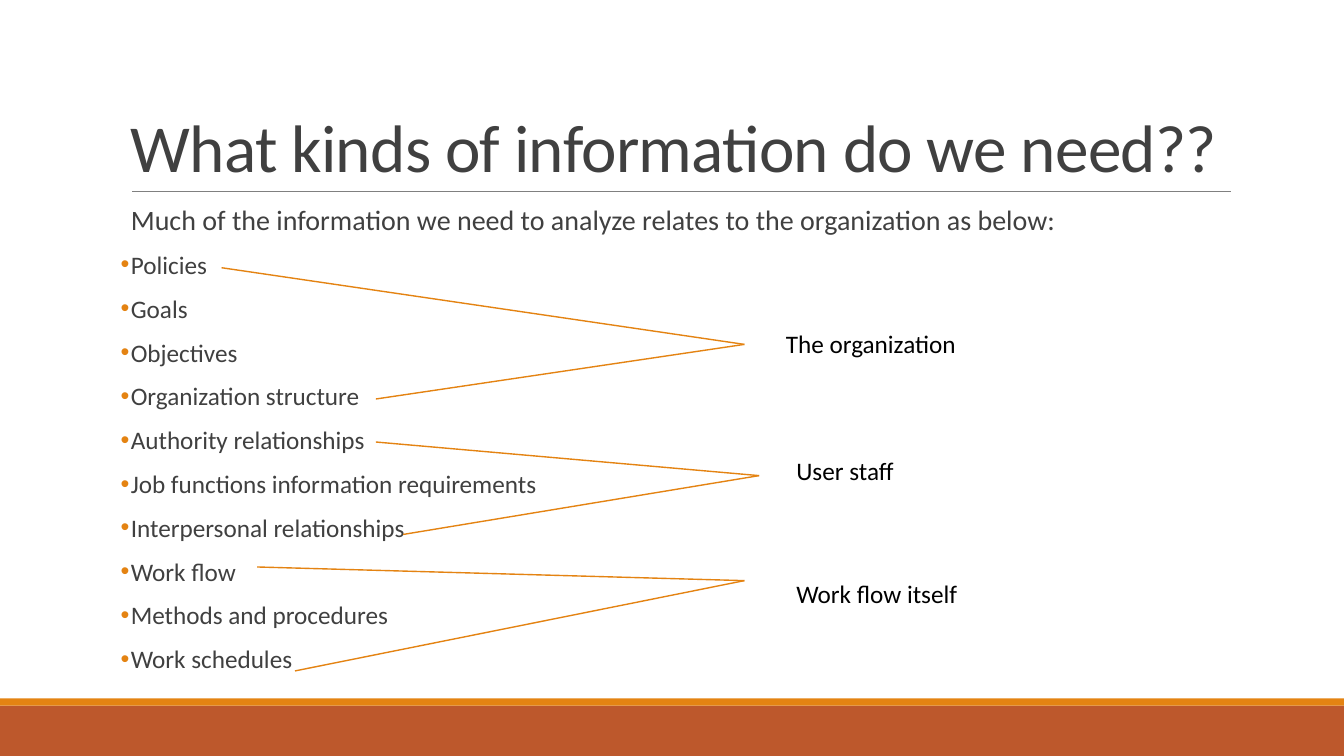
from lxml import etree
from pptx import Presentation
from pptx import util as u
from pptx.dml.color import RGBColor
from pptx.enum import shapes, text
from pptx.oxml.ns import qn

PX = 9525
FONT = "Calibri"
BULLET_FONT = "Arial"
COLORS = {"band": "BD582C", "accent": "E48312", "rule": "808080",
          "body": "404040", "label": "000000"}

TITLE = "What kinds of information do we need??"
INTRO = "Much of the information we need to analyze relates to the organization as below:"
TOPICS = ["Policies", "Goals", "Objectives", "Organization structure",
          "Authority relationships", "Job functions information requirements",
          "Interpersonal relationships", "Work flow",
          "Methods and procedures", "Work schedules"]
# label, label box, line starts, shared tip
GROUPS = [
    ("The organization", (739, 308, 183, 38), [(211, 255), (358, 380)], (709, 328)),
    ("User staff", (749, 429, 113, 38), [(358, 421), (384, 509)], (723, 453)),
    ("Work flow itself", (749, 546, 175, 38), [(245, 540), (281, 639)], (709, 553)),
]


def px(*lengths):
    return [u.Emu(length * PX) for length in lengths]


def color(name):
    return RGBColor.from_string(COLORS[name])


def set_font(para, size, name):
    para.font.name = FONT
    para.font.size = u.Pt(size)
    para.font.color.rgb = color(name)


def add_bar(page, box, name):
    bar = page.shapes.add_shape(shapes.MSO_SHAPE.RECTANGLE, *px(*box))
    bar.shadow.inherit = False
    bar.fill.solid()
    bar.fill.fore_color.rgb = color(name)
    bar.line.fill.background()


def add_line(page, start, end, name, width):
    line = page.shapes.add_connector(
        shapes.MSO_CONNECTOR.STRAIGHT, *px(*start, *end))
    line.line.color.rgb = color(name)
    line.line.width = u.Pt(width)
    etree.SubElement(line._element.spPr, qn("a:effectLst"))


def add_text_frame(page, box, wrap=True):
    frame = page.shapes.add_textbox(*px(*box)).text_frame
    frame.word_wrap = wrap
    return frame


def add_bullet(para, symbol):
    """Hang the symbol to the left of the text; it must follow the spacing."""
    properties = para._p.get_or_add_pPr()
    properties.set("marL", str(u.Inches(0.1)))
    properties.set("indent", str(-u.Inches(0.1)))
    bullet_color = etree.Element(qn("a:buClr"))
    etree.SubElement(bullet_color, qn("a:srgbClr"), val=COLORS["accent"])
    font = etree.Element(qn("a:buFont"), typeface=BULLET_FONT)
    mark = etree.Element(qn("a:buChar"), char=symbol)
    following = properties.find(qn("a:defRPr"))
    for part in (bullet_color, font, mark):
        if following is None:
            properties.append(part)
        else:
            following.addprevious(part)


def add_footer(page, box):
    left, top, width, height = box
    accent = 7
    add_bar(page, (left, top + accent, width, height - accent), "band")
    add_bar(page, (left, top, width, accent), "accent")


def add_title(page, box):
    left, top, width, height = box
    bottom = top + height
    add_line(page, (left + 11, bottom), (left + width + 1, bottom), "rule", 0.5)
    frame = add_text_frame(page, box)
    frame.vertical_anchor = text.MSO_ANCHOR.BOTTOM
    para = frame.paragraphs[0]
    para.line_spacing = 0.85
    span = para.add_run()
    span.text = TITLE
    set_font(para, 48, "body")
    span._r.get_or_add_rPr().set("spc", "-50")


def add_topics(page, box):
    frame = add_text_frame(page, box)
    frame.margin_left = frame.margin_right = 0
    frame.text = "\n".join([INTRO, *TOPICS])
    for index, para in enumerate(frame.paragraphs):
        para.line_spacing = 0.8
        para.space_before = u.Pt(12)
        para.space_after = u.Pt(2)
        set_font(para, 18 if index else 20, "body")
        add_bullet(para, "•" if index else " ")


def add_group(page, box, label, starts, tip):
    """Draw lines that meet at the tip, beside the label in its box."""
    for start in starts:
        add_line(page, start, tip, "accent", 1)
    para = add_text_frame(page, box, wrap=False).paragraphs[0]
    para.text = label
    set_font(para, 18, "label")


def main():
    deck = Presentation()
    deck.slide_width, deck.slide_height = px(1280, 720)
    page = deck.slides.add_slide(deck.slide_layouts[6])
    add_footer(page, (0, 665, 1280, 55))
    add_title(page, (115, 30, 1056, 152))
    add_topics(page, (115, 194, 1056, 471))
    for label, box, starts, tip in GROUPS:
        add_group(page, box, label, starts, tip)
    deck.save("out.pptx")


if __name__ == "__main__":
    main()
